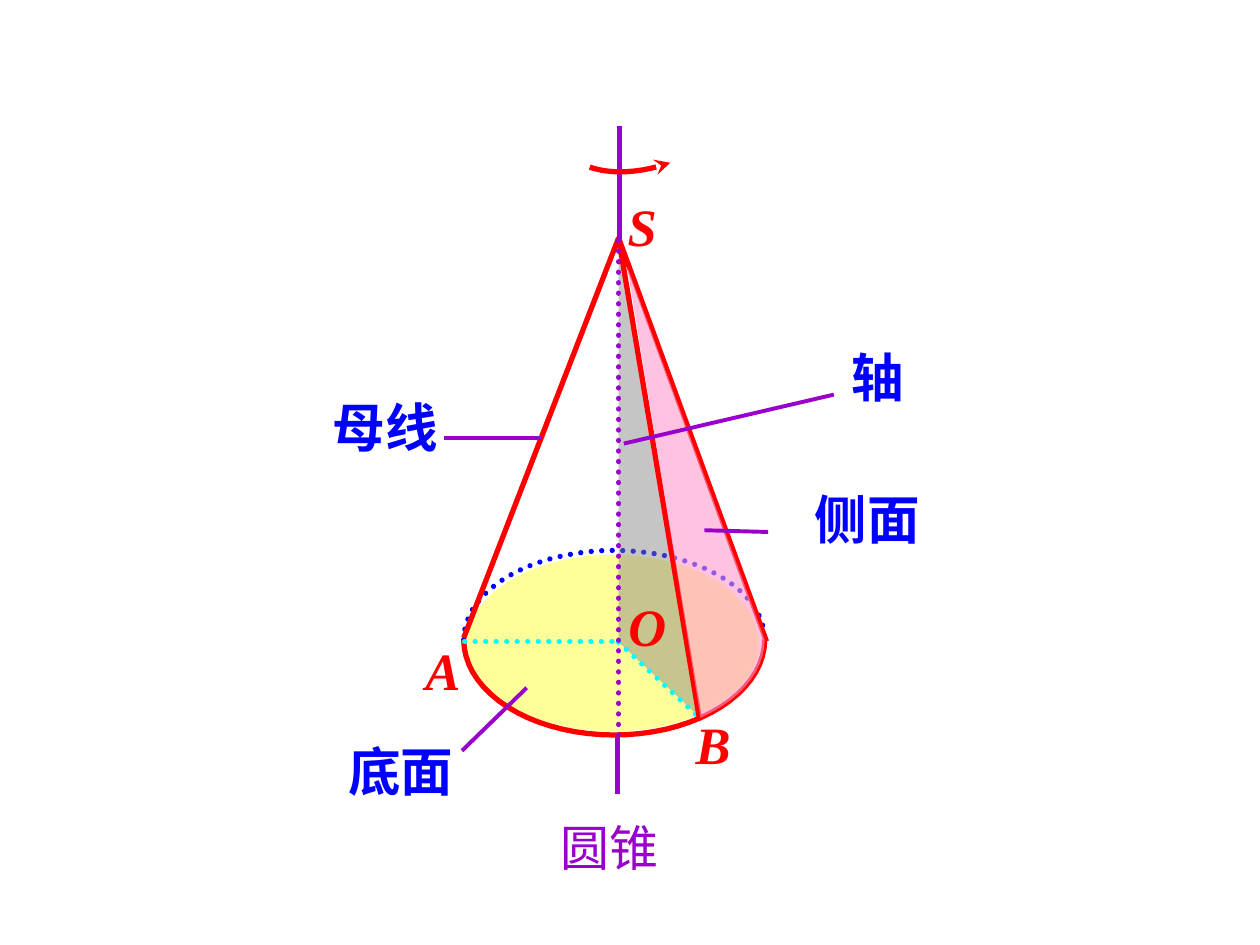
"""Draw a labelled cone with its axis, base, side face and generating lines."""
from math import cos, radians, sin
from lxml.etree import SubElement
from pptx import Presentation
from pptx.dml.color import RGBColor
from pptx.enum.dml import MSO_LINE
from pptx.enum.shapes import MSO_CONNECTOR, MSO_SHAPE
from pptx.enum.text import PP_ALIGN
from pptx.oxml.ns import qn
from pptx.util import Pt

HUES = {"red": "FF0000", "blue": "0000FF", "purple": "9900CC", "cyan": "00FFFF",
        "yellow": "FFFF99", "gray": "808080", "pink": "FF99CC"}
INK = {name: RGBColor.from_string(code) for name, code in HUES.items()}

deck = Presentation()
deck.slide_width, deck.slide_height = Pt(720), Pt(540)
slide = deck.slides.add_slide(deck.slide_layouts[6])
shapes = slide.shapes


def stroke(points, hue, width=3, dots=False, arrow=False):
    """Draw a line through the points."""
    spots = [(Pt(x), Pt(y)) for x, y in points]
    if len(spots) == 2:
        item = shapes.add_connector(MSO_CONNECTOR.STRAIGHT, *spots[0], *spots[1])
    else:
        pen = shapes.build_freeform(*spots[0])
        pen.add_line_segments(spots[1:], close=False)
        item = pen.convert_to_shape()
        item.fill.background()
        item.shadow.inherit = False
    item.line.color.rgb = INK[hue]
    item.line.width = Pt(width)
    frame = item._element.spPr
    edge = frame.find(qn("a:ln"))
    if dots:
        item.line.dash_style = MSO_LINE.ROUND_DOT
        edge.set("cap", "rnd")
    if arrow:
        SubElement(edge, qn("a:tailEnd"), type="stealth")
    if len(spots) == 2:
        SubElement(frame, qn("a:effectLst"))


def face(points, hue, alpha):
    """Fill a see-through polygon."""
    spots = [(Pt(x), Pt(y)) for x, y in points]
    pen = shapes.build_freeform(*spots[0])
    pen.add_line_segments(spots[1:], close=True)
    item = pen.convert_to_shape()
    item.shadow.inherit = False
    item.fill.solid()
    item.fill.fore_color.rgb = INK[hue]
    item.line.fill.background()
    tint = item._element.spPr.find(qn("a:solidFill"))[0]
    SubElement(tint, qn("a:alpha"), val=str(alpha * 1000))


turns = [radians(step) for step in range(0, 181, 5)]
back = [(351 - 86 * cos(t), 365.5 - 51 * sin(t)) for t in turns]
front = [(351 + 86 * cos(t), 365.5 + 54.5 * sin(t)) for t in turns]
top, mid, rim = (353.5, 136), (353.5, 367), (399.5, 409.5)

stroke(back, "blue", dots=True)
base = shapes.add_shape(MSO_SHAPE.OVAL, Pt(267), Pt(317), Pt(166.5), Pt(101))
base.shadow.inherit = False
base.fill.solid()
base.fill.fore_color.rgb = INK["yellow"]
base.line.fill.background()

stroke([(353, 453.5), (353, 420.5)], "purple")
stroke([(265, 364.5), top], "red")
stroke([(438, 366.5), top], "red")
stroke(front, "red")
stroke([(265.5, 366.5), (354, 366.5)], "cyan", dots=True)
face([rim, top, mid], "gray", 45)
stroke([mid, (400, 410.5)], "cyan", dots=True)
stroke([rim, top], "red")
stroke([(353.5, 420), top], "purple", dots=True)
stroke([(354, 137), (354, 72)], "purple")

bend = [(337, 95.5), (344, 98), (360, 101), (383, 93)]
swing = []
for step in range(13):
    t = step / 12
    parts = ((1 - t) ** 3, 3 * t * (1 - t) ** 2, 3 * t * t * (1 - t), t ** 3)
    swing.append([sum(w * p[k] for w, p in zip(parts, bend)) for k in (0, 1)])
stroke(swing, "red", arrow=True)

face([(358.5, 152.5), *reversed(front[:12])], "pink", 58)
for ends in ([(264, 429), (301, 393)], [(439, 304), (402.5, 303)],
             [(476.5, 225.5), (356.5, 253.5)], [(253.5, 250.5), (309.5, 250.5)]):
    stroke(ends, "purple", 2.25)

for text, left, high, wide, size, hue, bold, slant in (
        ("A", 236, 361, 55, 30, "red", True, True),
        ("B", 390.5, 403.5, 58, 30, "red", True, True),
        ("O", 352, 336, 99, 30, "red", True, True),
        ("S", 351.5, 107.5, 99, 30, "red", True, True),
        ("底面", 192, 418.5, 134, 30, "blue", True, False),
        ("侧面", 458.5, 275, 134, 30, "blue", True, False),
        ("轴", 479.5, 193.5, 134, 30, "blue", True, False),
        ("母线", 183, 222.5, 134, 30, "blue", True, False),
        ("圆锥", 187, 463.5, 322.5, 28, "purple", False, False)):
    box = shapes.add_textbox(Pt(left), Pt(high), Pt(wide), Pt(size * 1.44))
    box.text_frame.word_wrap = True
    para = box.text_frame.paragraphs[0]
    para.alignment = PP_ALIGN.CENTER if hue == "purple" else PP_ALIGN.LEFT
    run = para.add_run()
    run.text = text
    font = run.font
    font.name, font.size = "Times New Roman", Pt(size)
    font.bold, font.italic = bold, slant
    font.color.rgb = INK[hue]

deck.save("out.pptx")
